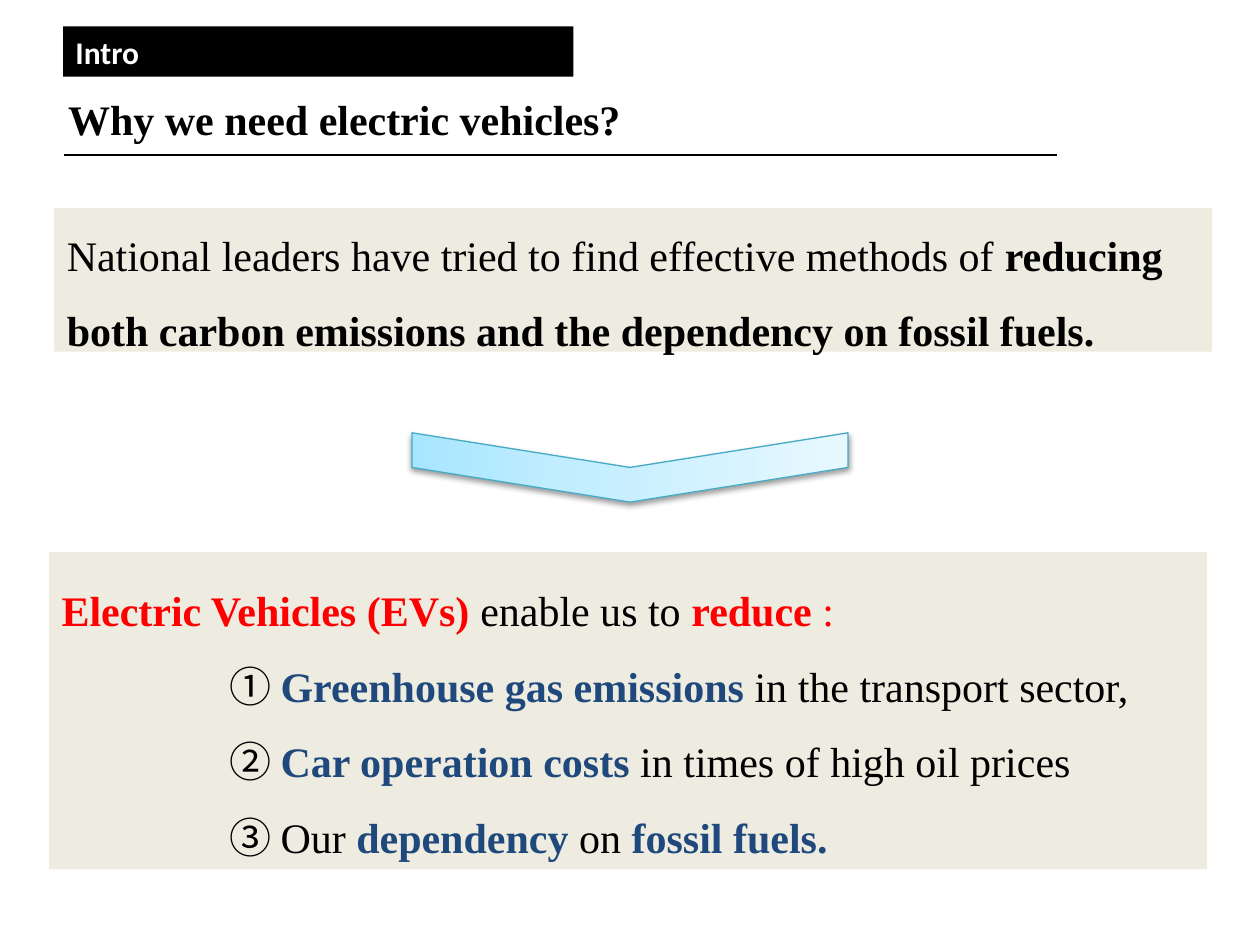
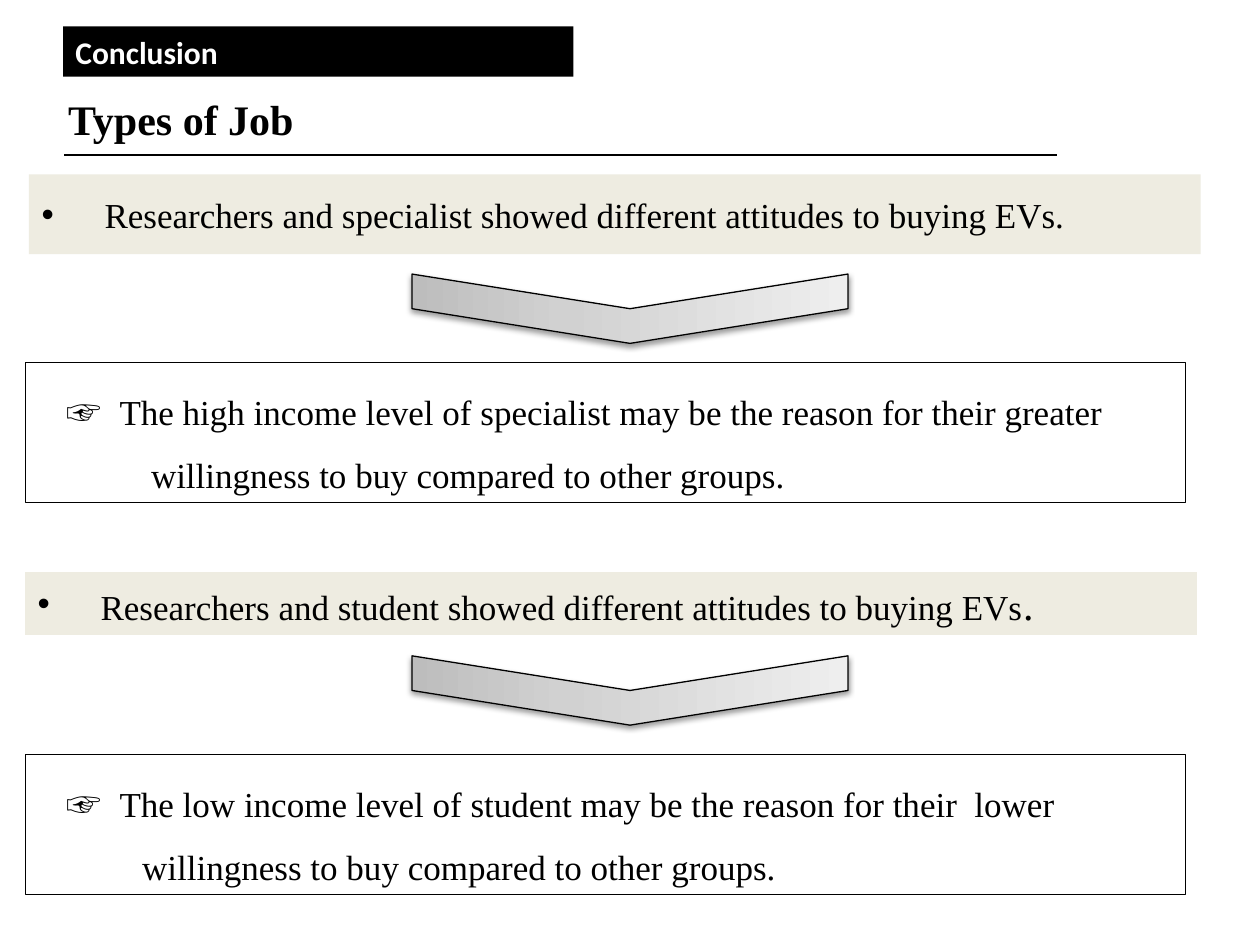
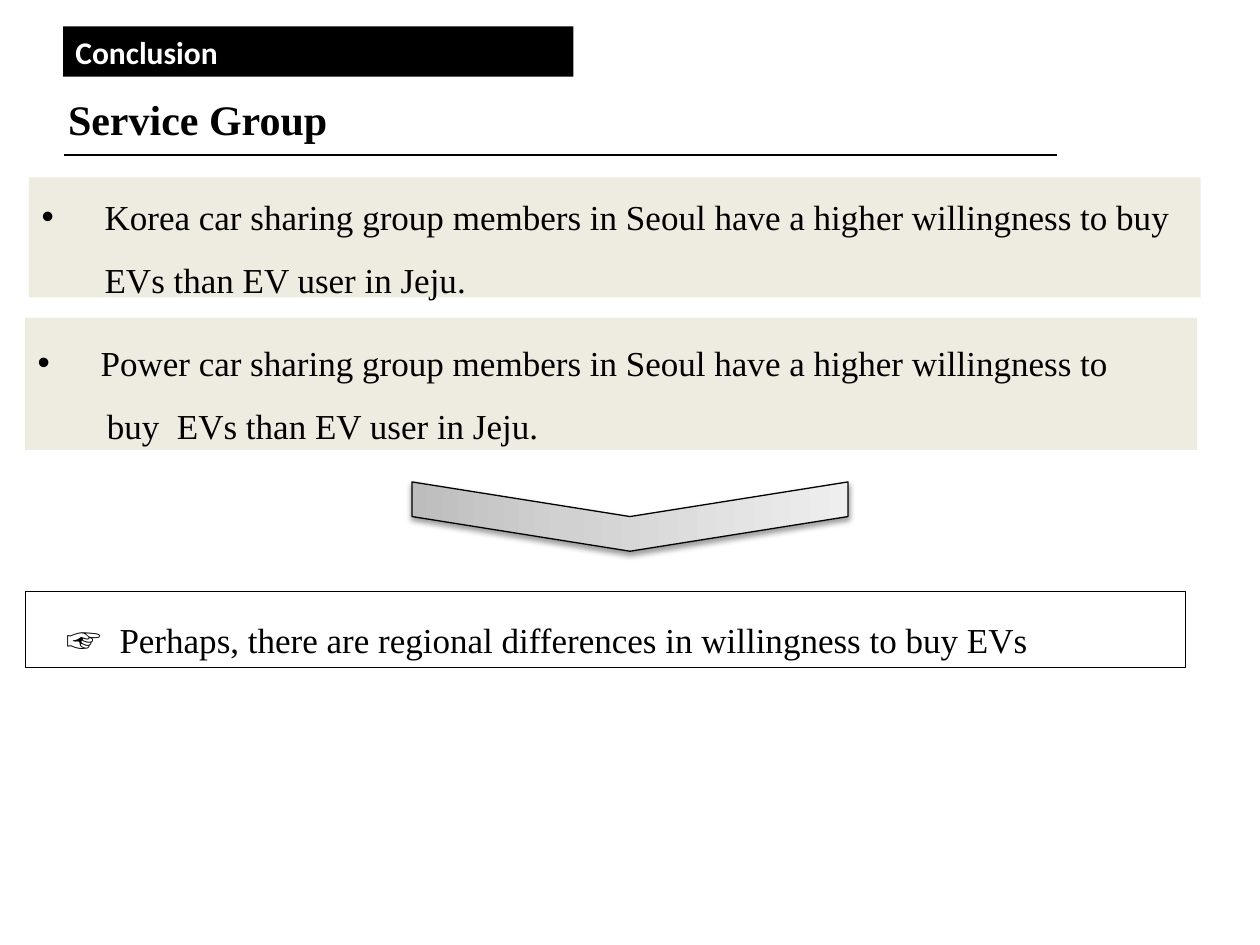
from lxml import etree
from pptx import Presentation
from pptx.dml.color import RGBColor
from pptx.enum.shapes import MSO_CONNECTOR, MSO_SHAPE
from pptx.enum.text import MSO_ANCHOR as Anchor, MSO_AUTO_SIZE as Fit, PP_ALIGN as Align
from pptx.oxml import parse_xml
from pptx.oxml.ns import nsdecls, qn
from pptx.util import Inches, Pt

SERIF, SANS, SYMBOL = "Times New Roman", "Calibri", "Noto Sans CJK KR"
BLACK, WHITE, BEIGE, RED, NAVY = "000000", "FFFFFF", "EEECE1", "FF0000", "1F497D"

# Run styles: font, colour, bold, size (None takes the panel's size)
STYLES = {
    "plain": (SERIF, BLACK, False, None),
    "bold": (SERIF, BLACK, True, None),
    "red": (SERIF, RED, True, None),
    "colon": (SERIF, RED, False, None),
    "navy": (SERIF, NAVY, True, None),
    "symbol": (SYMBOL, BLACK, False, None),
    "stop": (SERIF, BLACK, False, 24),
    "title": (SERIF, BLACK, True, 24),
    "section": (SANS, WHITE, True, 18),
}

# Arrow looks: gradient start, middle, end, outline
BLUE_ARROW = ("A7E6FF", "C1EDFF", "E7F8FF", "46AAC5")
GREY_ARROW = ("BDBDBD", "D1D1D1", "EEEEEE", BLACK)


# Paragraphs: (left margin, first-line indent, bullet, runs)
def plain(*runs, left=0):
    return left, 0, None, runs


def bullet(*runs):
    return 0.5, -0.5, "•", runs


def pointer(text):
    return 0.65, -0.42, None, [("☞\t", "symbol"), (text, "plain")]


def reason(number, *runs):
    return plain((number + " ", "symbol"), *runs, left=1.33)


# Panels: (left, top, width, height), kind, size, line spacing, paragraphs
SLIDES = [
    {"section": "Intro", "title": "Why we need electric vehicles?",
     "arrows": [3.71], "look": BLUE_ARROW,
     "panels": [
         ((0.43, 1.6, 9.19, 1.24), "beige", 24, 1.5, [
             plain(("National leaders have tried to find effective methods of ", "plain"),
                   ("reducing both carbon emissions and the dependency on fossil fuels.", "bold"))]),
         ((0.39, 4.38, 9.19, 2.52), "beige", 24, 1.5, [
             plain(("Electric Vehicles (EVs) ", "red"), ("enable us to ", "plain"),
                   ("reduce", "red"), (" :", "colon")),
             reason("①", ("Greenhouse gas emissions ", "navy"),
                    ("in the transport sector,", "plain")),
             reason("②", ("Car operation costs ", "navy"),
                    ("in times of high oil prices", "plain")),
             reason("③", ("Our ", "plain"), ("dependency", "navy"), (" on ", "plain"),
                    ("fossil fuels.", "navy"))])]},
    {"section": "Conclusion", "title": "Types of Job",
     "arrows": [2.45, 5.48], "look": GREY_ARROW,
     "panels": [
         ((0.23, 1.48, 9.3, 0.44), "beige", 20, 1, [
             bullet(("Researchers and specialist showed different attitudes to buying EVs.",
                     "plain"))]),
         ((0.2, 2.88, 9.21, 1.11), "framed", 20, 1.5, [
             pointer("The high income level of specialist may be the reason for their greater"),
             plain(("willingness to buy compared to other groups.", "plain"), left=0.9)]),
         ((0.2, 4.54, 9.3, 0.5), "beige", 20, 1, [
             bullet(("Researchers and student showed different attitudes to buying EVs", "plain"),
                    (".", "stop"))]),
         ((0.2, 5.99, 9.21, 1.11), "framed", 20, 1.5, [
             pointer("The low income level of student may be the reason for their  lower"),
             plain(("willingness to buy compared to other groups.", "plain"), left=0.83)])]},
    {"section": "Conclusion", "title": "Service Group",
     "arrows": [4.1], "look": GREY_ARROW,
     "panels": [
         ((0.23, 1.36, 9.3, 1.05), "beige", 20, 1.5, [
             bullet(("Korea car sharing group members in Seoul have a higher willingness "
                     "to buy EVs than EV user in Jeju.", "plain"))]),
         ((0.2, 2.52, 9.3, 1.05), "beige", 20, 1.5, [
             bullet(("Power car sharing group members in Seoul have a higher willingness to",
                     "plain")),
             plain(("buy  EVs than EV user in Jeju.", "plain"), left=0.55)]),
         ((0.2, 4.69, 9.21, 0.61), "framed", 20, 1.5, [
             pointer("Perhaps, there are regional differences in willingness to buy EVs")])]},
]


def color(hex_code):
    return RGBColor.from_string(hex_code)


def place(sp, left, top, width, height):
    sp.left, sp.top = Inches(left), Inches(top)
    sp.width, sp.height = Inches(width), Inches(height)


def add_run(p, text, style, size=None):
    font, hue, bold, own_size = STYLES[style]
    r = p.add_run()
    r.text = text
    r.font.size = Pt(own_size or size)
    r.font.bold = bold
    r.font.color.rgb = color(hue)
    r.font.name = font
    if font == SYMBOL:
        etree.SubElement(r.font._element, qn("a:ea"), typeface=font)


def add_rect(slide):
    sp = slide.shapes.add_shape(MSO_SHAPE.RECTANGLE, 0, 0, 0, 0)
    sp.shadow.inherit = False
    return sp


def style_box(sp, box, fill, line=None, anchor=Anchor.MIDDLE):
    place(sp, *box)
    sp.fill.solid()
    sp.fill.fore_color.rgb = color(fill)
    if line:
        sp.line.color.rgb = color(line)
        sp.line.width = Pt(0.5)
    else:
        sp.line.fill.background()
    tf = sp.text_frame
    tf.word_wrap = True
    tf.auto_size = Fit.SHAPE_TO_FIT_TEXT
    tf.vertical_anchor = anchor
    return tf


def add_paragraph(p, size, spacing, left, indent, mark, runs):
    p.alignment = Align.LEFT
    p.line_spacing = spacing
    p.space_before = Pt(0)
    pPr = p._p.get_or_add_pPr()
    pPr.set("marL", str(Inches(left)))
    pPr.set("indent", str(Inches(indent)))
    if mark:
        etree.SubElement(pPr, qn("a:buFont"), typeface="Arial")
        etree.SubElement(pPr, qn("a:buChar"), char=mark)
    else:
        etree.SubElement(pPr, qn("a:buNone"))
    for text, style in runs:
        add_run(p, text, style, size)


def add_panel(sp, box, kind, size, spacing, paragraphs):
    fill, line = (WHITE, BLACK) if kind == "framed" else (BEIGE, None)
    tf = style_box(sp, box, fill, line)
    for i, paragraph in enumerate(paragraphs):
        p = tf.add_paragraph() if i else tf.paragraphs[0]
        add_paragraph(p, size, spacing, *paragraph)


def add_header(slide, section, title):
    # Section band
    tf = style_box(add_rect(slide), (0.5, 0.21, 4.05, 0.4), BLACK, anchor=Anchor.TOP)
    tf.paragraphs[0].alignment = Align.LEFT
    add_run(tf.paragraphs[0], section, "section")
    # Title
    sp = slide.shapes.title
    place(sp, 0.44, 0.63, 9.56, 0.62)
    sp.text_frame.vertical_anchor = Anchor.MIDDLE
    p = sp.text_frame.paragraphs[0]
    p.alignment = Align.LEFT
    add_run(p, title, "title")
    # Rule under the title
    rule = slide.shapes.add_connector(MSO_CONNECTOR.STRAIGHT, Inches(0.51), Inches(1.23),
                                      Inches(8.39), Inches(1.23))
    rule.line.color.rgb = color(BLACK)
    rule.line.width = Pt(1)
    etree.SubElement(rule._element.spPr, qn("a:effectLst"))


def add_arrow(slide, middle, look):
    depth, span = 0.55, 3.46
    *shades, outline = look
    sp = slide.shapes.add_shape(MSO_SHAPE.CHEVRON, 0, 0, 0, 0)
    place(sp, 5 - depth / 2, middle - span / 2, depth, span)
    sp.rotation = 90
    sp.line.color.rgb = color(outline)
    sp.line.width = Pt(0.75)
    stops = "".join(f'<a:gs pos="{pos}000"><a:srgbClr val="{shade}"/></a:gs>'
                    for pos, shade in zip((0, 35, 100), shades))
    ns = nsdecls("a")
    spPr = sp._element.spPr
    spPr.find(qn("a:prstGeom")).addnext(parse_xml(
        f'<a:gradFill {ns} rotWithShape="1"><a:gsLst>{stops}</a:gsLst>'
        '<a:lin ang="16200000" scaled="1"/></a:gradFill>'))
    spPr.append(parse_xml(
        f'<a:effectLst {ns}><a:outerShdw blurRad="{Pt(3.1)}" dist="{Pt(1.6)}" dir="5400000" '
        f'rotWithShape="0"><a:srgbClr val="{BLACK}"><a:alpha val="38000"/></a:srgbClr>'
        '</a:outerShdw></a:effectLst>'))


def main():
    prs = Presentation()
    prs.slide_width, prs.slide_height = Inches(10), Inches(7.5)
    for content in SLIDES:
        slide = prs.slides.add_slide(prs.slide_layouts[1])
        add_header(slide, content["section"], content["title"])
        # The first panel is the body placeholder
        for i, panel in enumerate(content["panels"]):
            add_panel(add_rect(slide) if i else slide.placeholders[1], *panel)
        for middle in content["arrows"]:
            add_arrow(slide, middle, content["look"])
    prs.save("out.pptx")


if __name__ == "__main__":
    main()
